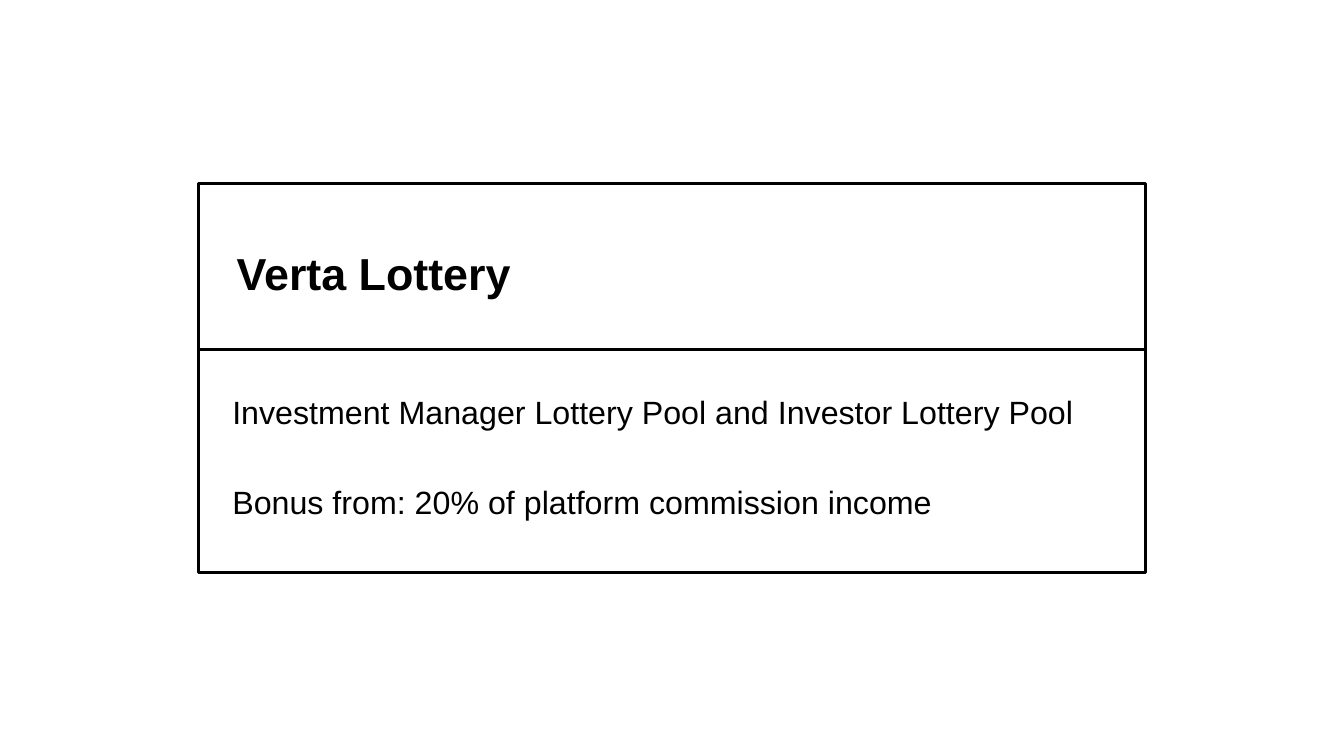
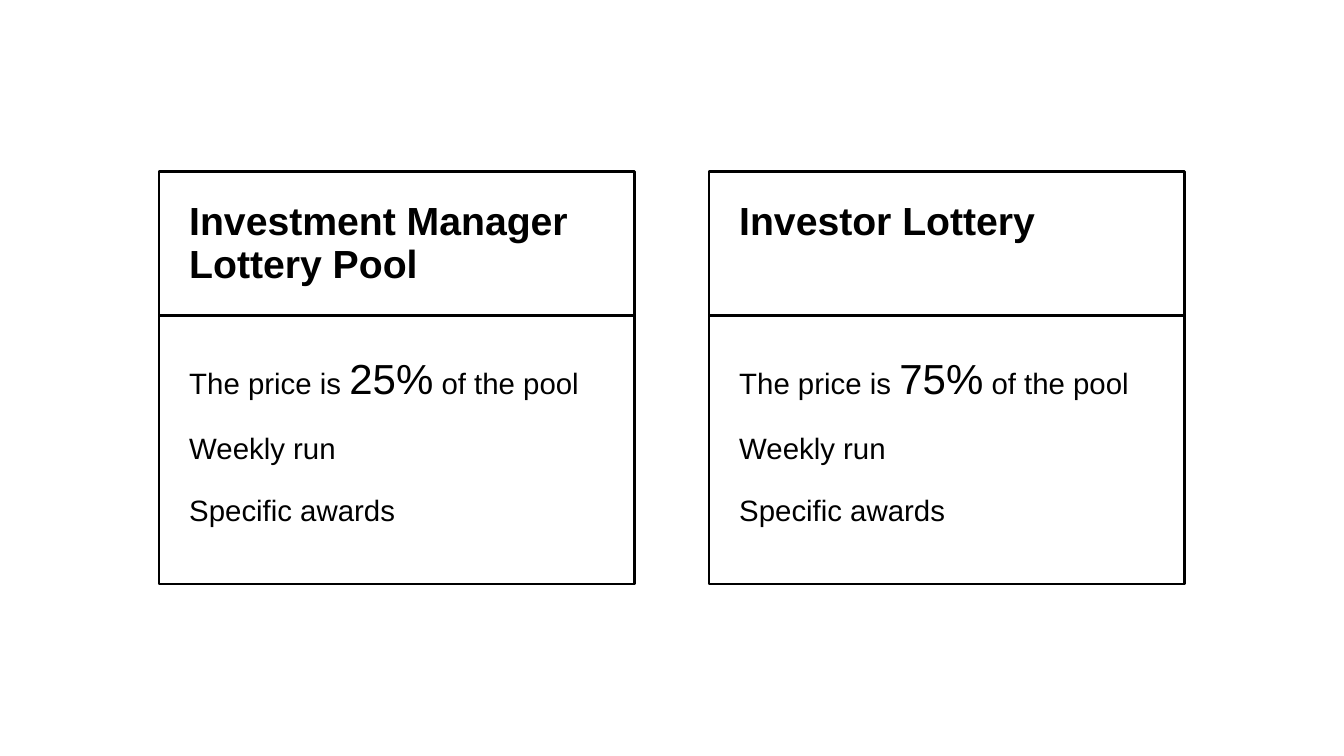
from dataclasses import dataclass

from pptx import Presentation
from pptx import util as u
from pptx.dml.color import RGBColor
from pptx.enum import shapes, text
from pptx.oxml.ns import qn
from lxml import etree

COLORS = {"ink": "000000", "paper": "FFFFFF"}
FONT = "Arial"
LINE_WIDTH = u.Pt(2)
SLIDE_WIDTH, SLIDE_HEIGHT = 33.87, 19.05


@dataclass
class CardStyle:
    """Measures of a card; offsets in cm from its top left corner, sizes in points."""
    width: float
    height: float
    rule_y: float
    heading_at: tuple
    heading_size: int
    body_x: float
    body_ys: tuple
    body_size: int
    accent_size: int


WIDE = CardStyle(23.88, 9.8, 4.19, (0.97, 1.73), 32, 0.86, (5.26, 7.52), 23, 23)
NARROW = CardStyle(11.99, 10.39, 3.61, (0.76, 0.76), 28, 0.76, (4.55, 6.51, 8.08), 21, 30)


def color(name):
    return RGBColor.from_string(COLORS[name])


def add_text(group, left, top, width, height, runs, bold=False, spacing=None):
    """Add one paragraph made of (words, size) runs."""
    box = group.shapes.add_textbox(u.Cm(left), u.Cm(top), u.Cm(width), u.Cm(height))
    frame = box.text_frame
    frame.word_wrap = True
    frame.vertical_anchor = text.MSO_ANCHOR.TOP
    frame.margin_left = frame.margin_right = frame.margin_top = frame.margin_bottom = 0
    para = frame.paragraphs[0]
    para.line_spacing = spacing
    for words, size in runs:
        span = para.add_run()
        span.text = words
        span.font.name = FONT
        span.font.size = u.Pt(size)
        span.font.bold = bold
        span.font.color.rgb = color("ink")


def add_card(page, left, top, style, heading, lines):
    """Draw a framed card: heading, dividing rule and body lines."""
    group = page.shapes.add_group_shape()

    # Frame
    frame = group.shapes.add_shape(shapes.MSO_SHAPE.RECTANGLE, u.Cm(left), u.Cm(top),
                                   u.Cm(style.width), u.Cm(style.height))
    frame.shadow.inherit = False
    frame.fill.solid()
    frame.fill.fore_color.rgb = color("paper")
    frame.line.color.rgb = color("ink")
    frame.line.width = LINE_WIDTH

    # Heading
    dx, dy = style.heading_at
    add_text(group, left + dx, top + dy, style.width - 1.5 * dx, style.rule_y - 1.5 * dy,
             [(heading, style.heading_size)], bold=True, spacing=0.9)

    # Body lines; every second run is an accent
    sizes = (style.body_size, style.accent_size)
    for y, parts in zip(style.body_ys, lines):
        runs = [(words, sizes[i % 2]) for i, words in enumerate(parts)]
        add_text(group, left + style.body_x, top + y, style.width - 1.5 * style.body_x,
                 max(sizes) * 0.043, runs)

    # Dividing rule
    rule_y = u.Cm(top + style.rule_y)
    rule = group.shapes.add_connector(shapes.MSO_CONNECTOR.STRAIGHT, u.Cm(left), rule_y,
                                      u.Cm(left + style.width), rule_y)
    rule.line.color.rgb = color("ink")
    rule.line.width = LINE_WIDTH
    etree.SubElement(rule.element.spPr, qn("a:effectLst"))


def add_card_slide(deck, style, cards, gap=1.87):
    """Add a slide with a row of equal cards, centred on the page."""
    page = deck.slides.add_slide(deck.slide_layouts[6])
    page.background.fill.solid()
    page.background.fill.fore_color.rgb = color("paper")
    step = style.width + gap
    left = (SLIDE_WIDTH - step * len(cards) + gap) / 2
    top = (SLIDE_HEIGHT - style.height) / 2
    for column, (heading, lines) in enumerate(cards):
        add_card(page, left + column * step, top, style, heading, lines)


def pool_lines(share):
    return [("The price is ", share, " of the pool"), ("Weekly run",), ("Specific awards",)]


def main():
    deck = Presentation()
    deck.slide_width, deck.slide_height = u.Cm(SLIDE_WIDTH), u.Cm(SLIDE_HEIGHT)
    add_card_slide(deck, WIDE, [
        ("Verta Lottery", [("Investment Manager Lottery Pool and Investor Lottery Pool",),
                           ("Bonus from: 20% of platform commission income",)]),
    ])
    add_card_slide(deck, NARROW, [
        ("Investment Manager Lottery Pool", pool_lines("25%")),
        ("Investor Lottery", pool_lines("75%")),
    ])
    deck.save("out.pptx")


if __name__ == "__main__":
    main()
